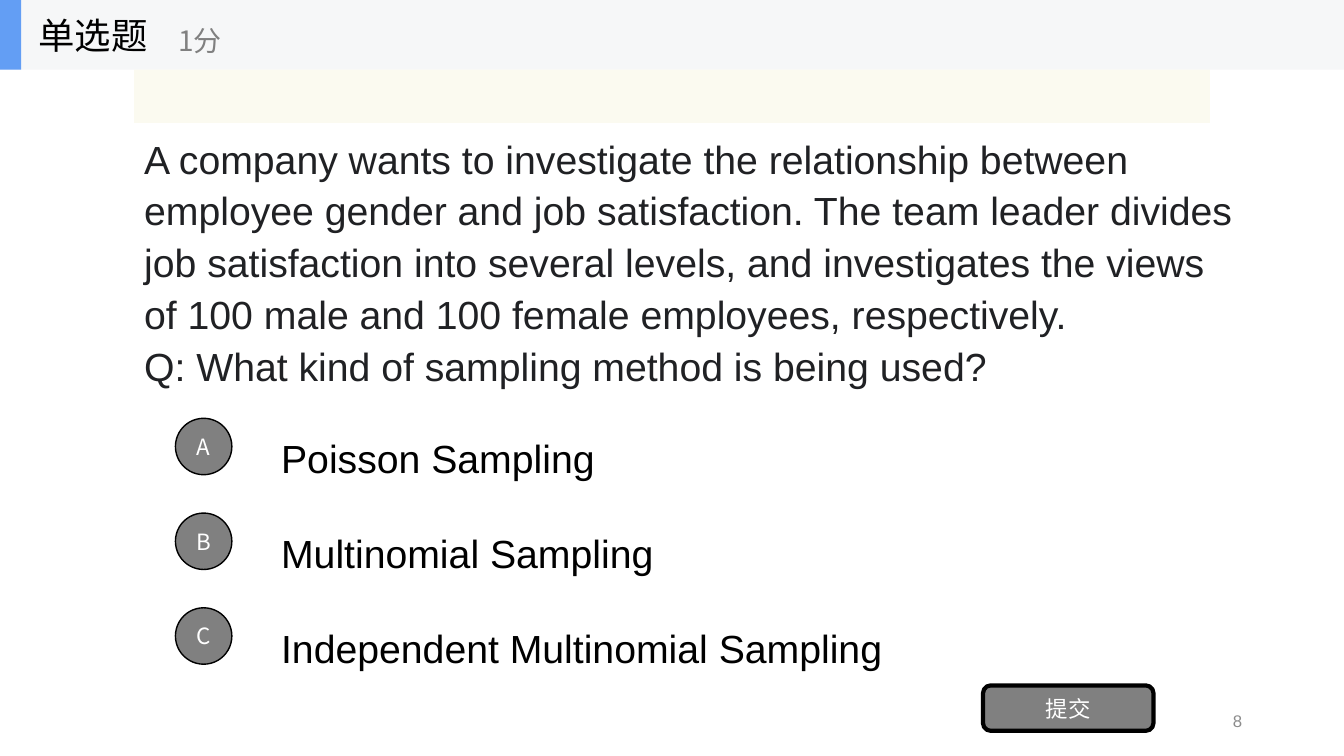
from pptx import Presentation
from pptx import util as u
from pptx.dml.color import RGBColor
from pptx.enum import shapes, text
from pptx.oxml import ns
from lxml import etree

HUES = {"ink": "202124", "black": "000000", "white": "FFFFFF", "grey": "808080",
        "page": "8C8C8C", "bar": "F6F7F8", "blue": "639EF4", "cream": "FBFAEF"}
LATIN, HAN = "Arial", "Noto Sans CJK SC"
KIND = shapes.MSO_SHAPE
ALIGN = text.PP_ALIGN


class Quiz:
    def __init__(self, deck):
        self.slide = deck.slides.add_slide(deck.slide_layouts[1])
        self.items = self.slide.shapes

    def hue(self, name):
        return RGBColor.from_string(HUES[name])

    def place(self, item, box):
        item.left, item.top, item.width, item.height = map(u.Inches, box)

    def fill_text(self, item, lines, size, font, hue, align=ALIGN.LEFT, space=1.0):
        frame = item.text_frame
        frame.word_wrap = True
        frame.auto_size = text.MSO_AUTO_SIZE.NONE
        frame.vertical_anchor = text.MSO_ANCHOR.MIDDLE
        for i, line in enumerate(lines):
            para = frame.add_paragraph() if i else frame.paragraphs[0]
            para.alignment = align
            para.line_spacing = space
            para.space_before = u.Pt(0)
            run = para.add_run()
            run.text = line
            run.font.size = u.Pt(size)
            run.font.name = font
            run.font.color.rgb = self.hue(hue)
            east = etree.SubElement(run.font._element, ns.qn("a:ea"))
            east.set("typeface", font)

    def title(self, line, box, **style):
        """Fill the title placeholder and bring it in front of the header bar."""
        item = self.items.title
        self.place(item, box)
        self.fill_text(item, [line], **style)
        self.items._spTree.append(item._element)

    def body(self, lines, box, **style):
        """Fill the body placeholder with plain paragraphs, without bullets."""
        item = self.slide.placeholders[1]
        self.place(item, box)
        self.fill_text(item, lines, **style)
        for para in item.text_frame.paragraphs:
            props = para._p.get_or_add_pPr()
            props.set("marL", "0")
            props.set("indent", "0")
            etree.SubElement(props, ns.qn("a:buNone"))

    def label(self, line, box, **style):
        item = self.items.add_textbox(*map(u.Inches, box))
        self.fill_text(item, [line], **style)

    def shape(self, kind, box, fill, edge=0, alpha=None):
        item = self.items.add_shape(kind, *map(u.Inches, box))
        item.shadow.inherit = False
        item.fill.solid()
        item.fill.fore_color.rgb = self.hue(fill)
        if alpha:
            tint = item._element.spPr.find(".//" + ns.qn("a:srgbClr"))
            etree.SubElement(tint, ns.qn("a:alpha")).set("val", str(alpha * 1000))
        if edge:
            item.line.color.rgb = self.hue("black")
            item.line.width = u.Pt(edge)
        else:
            item.line.fill.background()
        return item

    def button(self, kind, line, box, edge):
        item = self.shape(kind, box, "grey", edge)
        frame = item.text_frame
        frame.margin_left = frame.margin_right = 0
        frame.margin_top = frame.margin_bottom = 0
        self.fill_text(item, [line], 16, HAN, "white", ALIGN.CENTER)


def main():
    deck = Presentation()
    deck.slide_width, deck.slide_height = u.Inches(13.33), u.Inches(7.5)
    quiz = Quiz(deck)

    quiz.body(["A company wants to investigate the relationship between employee "
               "gender and job satisfaction. The team leader divides job "
               "satisfaction into several levels, and investigates the views of "
               "100 male and 100 female employees, respectively.",
               "Q: What kind of sampling method is being used?"],
              (1.33, 1.31, 11.08, 2.53), size=28, font=LATIN, hue="ink", space=1.1)

    choices = ["Poisson Sampling", "Multinomial Sampling",
               "Independent Multinomial Sampling"]
    for i, (mark, choice) in enumerate(zip("ABC", choices)):
        top = 4.08 + 0.94 * i
        quiz.label(choice, (2.69, top, 9.33, 0.7),
                   size=28, font=LATIN, hue="black", space=1.5)
        quiz.button(KIND.OVAL, mark, (1.74, top + 0.07, 0.56, 0.56), 1)

    quiz.button(KIND.ROUNDED_RECTANGLE, "提交", (9.75, 6.8, 1.69, 0.45), 3)
    quiz.label("8", (9.42, 6.95, 3, 0.4),
               size=12, font=LATIN, hue="page", align=ALIGN.RIGHT)

    quiz.shape(KIND.RECTANGLE, (0, 0, 13.33, 0.69), "bar")
    quiz.shape(KIND.RECTANGLE, (0, 0, 0.21, 0.69), "blue")
    quiz.title("单选题", (0.28, 0, 2.08, 0.69), size=26, font=HAN, hue="black")
    quiz.label("1分", (1.67, 0.12, 2.5, 0.56), size=20, font=HAN, hue="grey")
    quiz.shape(KIND.RECTANGLE, (1.33, 0.69, 10.67, 0.53), "cream", alpha=90)

    deck.save("out.pptx")


if __name__ == "__main__":
    main()
